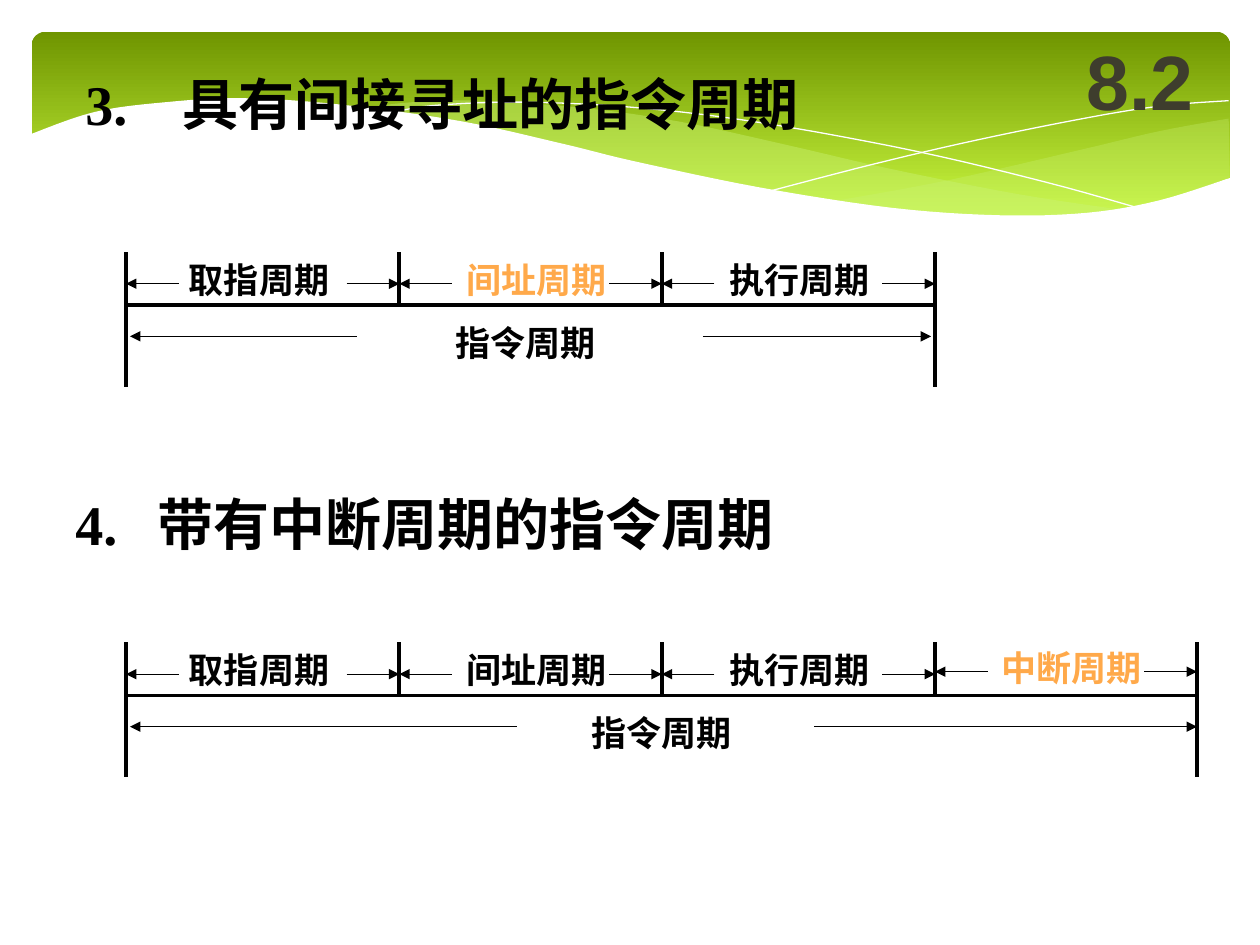
from lxml import etree
from pptx import Presentation
from pptx.dml.color import RGBColor
from pptx.enum.lang import MSO_LANGUAGE_ID
from pptx.enum.shapes import MSO_CONNECTOR, MSO_SHAPE
from pptx.enum.text import MSO_ANCHOR, MSO_AUTO_SIZE, PP_ALIGN
from pptx.oxml.ns import qn
from pptx.util import Cm, Pt

STRAIGHT = MSO_CONNECTOR.STRAIGHT
ROUND_RECT = MSO_SHAPE.ROUNDED_RECTANGLE
MIDDLE, TOP = MSO_ANCHOR.MIDDLE, MSO_ANCHOR.TOP
CENTER, LEFT = PP_ALIGN.CENTER, PP_ALIGN.LEFT
NO_FIT, FIT_SHAPE = MSO_AUTO_SIZE.NONE, MSO_AUTO_SIZE.SHAPE_TO_FIT_TEXT
CHINESE = MSO_LANGUAGE_ID.SIMPLIFIED_CHINESE

THEME = dict(
    black="000000", white="FFFFFF", accent="FFA94A", section="3E3D2D",
    band_top="6F9500", band_bottom="D0FF44", wave="CAF278",
    serif="Times New Roman", sans="Arial",
    section_size=44, heading_size=32, label_size=20,
    axis_width=2.25, arrow_width=0.75,
)

SECTION = ("8.2", (21.39, 0.43, 3.18, 2.34))
HEADINGS = [
    ("3.\t具有间接寻址的指令周期", (1.47, 1.27, 15.88, 1.63), 1.95),
    ("4.\t带有中断周期的指令周期", (1.27, 9.73, 15.88, 1.63), 1.65),
]

MARKS = [2.54, 8.05, 13.34, 18.85, 24.13]
LABEL_LEFTS = [3.56, 9.16, 14.45, 19.94]
TIMELINES = [
    dict(top=5.08, phases=["取指周期", "间址周期", "执行周期"], accent="间址周期",
         total="指令周期", total_left=8.94, total_gap=(7.19, 14.17), tip=18.77),
    dict(top=12.95, phases=["取指周期", "间址周期", "执行周期", "中断周期"],
         accent="中断周期", total="指令周期", total_left=11.68,
         total_gap=(10.42, 16.41), tip=24.13),
]
AXIS_DY, END_DY, ARROW_DY, TOTAL_ARROW_DY, TOTAL_DY = 1.07, 2.72, 0.64, 1.7, 1.27
ARROW_LEN, TIP_LEFT = 1.06, 2.62
LABEL_SIZE = (3.33, 1.12)

BAND = (0.64, 0.64, 24.16, 3.96)
RIGHT_WAVE = [
    [(24.77, 2.39), (23.39, 2.64), (21.87, 3), (19.13, 3.63), (16.79, 4.06)],
    [(16.79, 4.06), (18.59, 4.27), (20.4, 4.37), (21.92, 4.32), (23.39, 4.06),
     (24.79, 3.58)],
]
MIDDLE_WAVE = [
    [(22.68, 4.24), (20.5, 3.91), (17.93, 3.4), (15.98, 2.95), (13.74, 2.46),
     (11.79, 2.18), (9.65, 2.03), (8.33, 2.06), (7.26, 2.18)],
    [(7.26, 2.18), (9.19, 2.46), (11.4, 2.95), (14.38, 3.63), (16.51, 4.01),
     (18.34, 4.27), (19.94, 4.37), (21.29, 4.37), (22.68, 4.24)],
]
FALLING_LINE = [[(7.85, 2.29), (8.71, 2.13), (10.57, 2.06), (12.95, 2.18),
                 (15.44, 2.49), (18.47, 3.05), (21.11, 3.68), (23.04, 4.22)]]
RISING_LINE = [[(15.57, 3.84), (17.65, 3.3), (19.71, 2.82), (22, 2.36),
                (23.47, 2.13), (24.77, 2.03)]]
WHITE_WAVE = [
    [(24.82, 3.58), (23.37, 4.04), (21.92, 4.29), (20.14, 4.34), (17.98, 4.19),
     (15.32, 3.78), (12.78, 3.25), (11.35, 2.9), (9.27, 2.44), (6.88, 2.11),
     (4.9, 1.98), (3.35, 2.06), (1.9, 2.26), (0.58, 2.72)],
    [(0.58, 5.69), (24.82, 5.69)],
]


def rgb(name):
    return RGBColor.from_string(THEME[name])


def place(sp, box):
    sp.left, sp.top, sp.width, sp.height = map(Cm, box)


def put_text(sp, text, *, size, color="black", font="serif", align=LEFT,
             anchor=TOP, wrap=True, fit=FIT_SHAPE, tab=None):
    tf = sp.text_frame
    tf.word_wrap, tf.auto_size, tf.vertical_anchor = wrap, fit, anchor
    tf.margin_left = tf.margin_right = Cm(0.25)
    tf.margin_top = tf.margin_bottom = Cm(0.13)
    p = tf.paragraphs[0]
    p.alignment = align
    if tab:
        tabs = etree.SubElement(p._p.get_or_add_pPr(), qn("a:tabLst"))
        etree.SubElement(tabs, qn("a:tab"), pos=str(Cm(tab)), algn="l")
    r = p.add_run()
    r.text = text
    r.font.name, r.font.size, r.font.bold = THEME[font], Pt(THEME[size]), True
    r.font.color.rgb = rgb(color)
    r.font.language_id = CHINESE


def add_text(s, text, box, **fmt):
    put_text(s.shapes.add_textbox(*map(Cm, box)), text, **fmt)


def add_line(s, start, end, width="axis_width", arrow=False):
    c = s.shapes.add_connector(STRAIGHT, *map(Cm, start + end))
    c.line.color.rgb = rgb("black")
    c.line.width = Pt(THEME[width])
    if arrow:
        etree.SubElement(c.line._get_or_add_ln(), qn("a:tailEnd"), type="triangle")
    etree.SubElement(c._element.spPr, qn("a:effectLst"))


def add_arrow(s, tail_x, tip_x, y):
    add_line(s, (tail_x, y), (tip_x, y), "arrow_width", arrow=True)


def smooth(points, steps=6):
    padded = [points[0]] + points + [points[-1]]
    for a, b, c, d in zip(padded, padded[1:], padded[2:], padded[3:]):
        for t in (i / steps for i in range(steps)):
            yield tuple(
                b[k] + t / 2 * (c[k] - a[k]
                                + t * (2 * a[k] - 5 * b[k] + 4 * c[k] - d[k]
                                       + t * (3 * (b[k] - c[k]) + d[k] - a[k])))
                for k in (0, 1))
    yield points[-1]


def add_curve(s, curves, fill=None, alpha=None):
    points = [(Cm(x), Cm(y)) for curve in curves for x, y in smooth(curve)]
    builder = s.shapes.build_freeform(*points[0])
    builder.add_line_segments(points[1:], close=fill is not None)
    sp = builder.convert_to_shape()
    sp.shadow.inherit = False
    if fill is None:
        sp.fill.background()
        sp.line.color.rgb = rgb("white")
        sp.line.width = Pt(0)
        return
    sp.fill.solid()
    sp.fill.fore_color.rgb = rgb(fill)
    sp.line.fill.background()
    if alpha:
        color = sp._element.spPr.find(qn("a:solidFill"))[0]
        etree.SubElement(color, qn("a:alpha"), val=str(alpha * 1000))


def add_banner(s):
    band = s.shapes.add_shape(ROUND_RECT, *map(Cm, BAND))
    band.adjustments[0] = 0.07
    band.shadow.inherit = False
    band.line.fill.background()
    band.fill.gradient()
    band.fill.gradient_angle = 270
    for stop, name in zip(band.fill.gradient_stops, ("band_top", "band_bottom")):
        stop.color.rgb = rgb(name)
    add_curve(s, RIGHT_WAVE, "wave", 29)
    add_curve(s, MIDDLE_WAVE, "wave", 40)
    add_curve(s, FALLING_LINE)
    add_curve(s, RISING_LINE)
    add_curve(s, WHITE_WAVE, "white")


def add_timeline(s, top, phases, accent, total, total_left, total_gap, tip):
    marks = MARKS[:len(phases) + 1]
    axis = top + AXIS_DY
    add_line(s, (marks[0], axis), (marks[-1], axis))
    for x in marks:
        bottom = top + END_DY if x in (marks[0], marks[-1]) else axis
        add_line(s, (x, top), (x, bottom))
    for phase, x, left, right in zip(phases, LABEL_LEFTS, marks, marks[1:]):
        dy = -0.05 if phase == "中断周期" else 0
        add_text(s, phase, (x, top + dy, *LABEL_SIZE), size="label_size",
                 color="accent" if phase == accent else "black", wrap=False)
        add_arrow(s, left + ARROW_LEN, left, top + ARROW_DY + dy)
        add_arrow(s, right - ARROW_LEN, right, top + ARROW_DY + dy)
    add_text(s, total, (total_left, top + TOTAL_DY, *LABEL_SIZE),
             size="label_size", wrap=False)
    for tail_x, tip_x in zip(total_gap, (TIP_LEFT, tip)):
        add_arrow(s, tail_x, tip_x, top + TOTAL_ARROW_DY)


def main():
    prs = Presentation()
    prs.slide_width, prs.slide_height = Cm(25.4), Cm(19.05)
    s = prs.slides.add_slide(prs.slide_layouts[5])
    add_banner(s)
    for text, box, tab in HEADINGS:
        add_text(s, text, box, size="heading_size", tab=tab)
    for timeline in TIMELINES:
        add_timeline(s, **timeline)
    title = s.shapes.title
    text, box = SECTION
    place(title, box)
    put_text(title, text, size="section_size", color="section", font="sans",
             align=CENTER, anchor=MIDDLE, fit=NO_FIT)
    s.shapes._spTree.append(title._element)
    prs.save("out.pptx")


if __name__ == "__main__":
    main()
